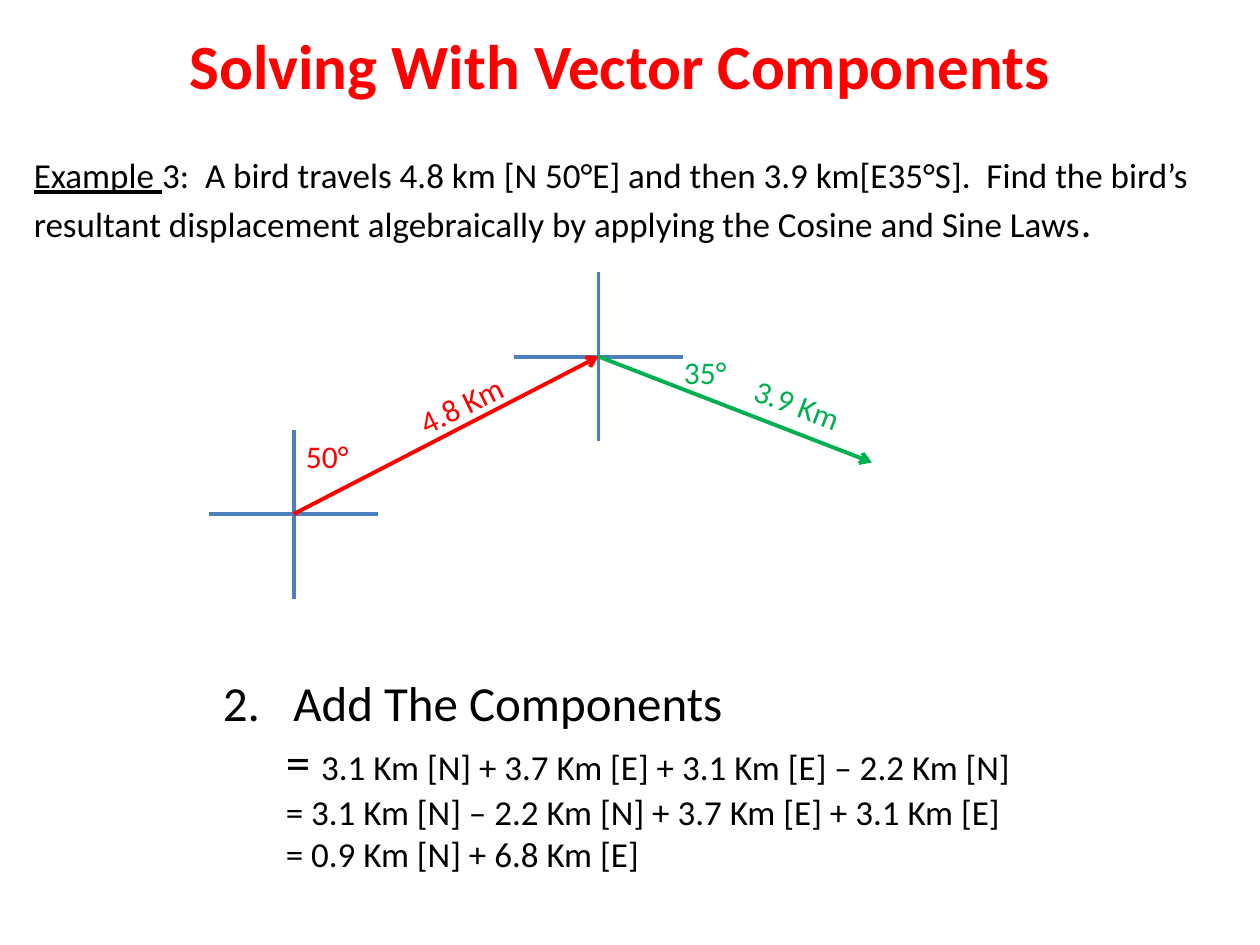
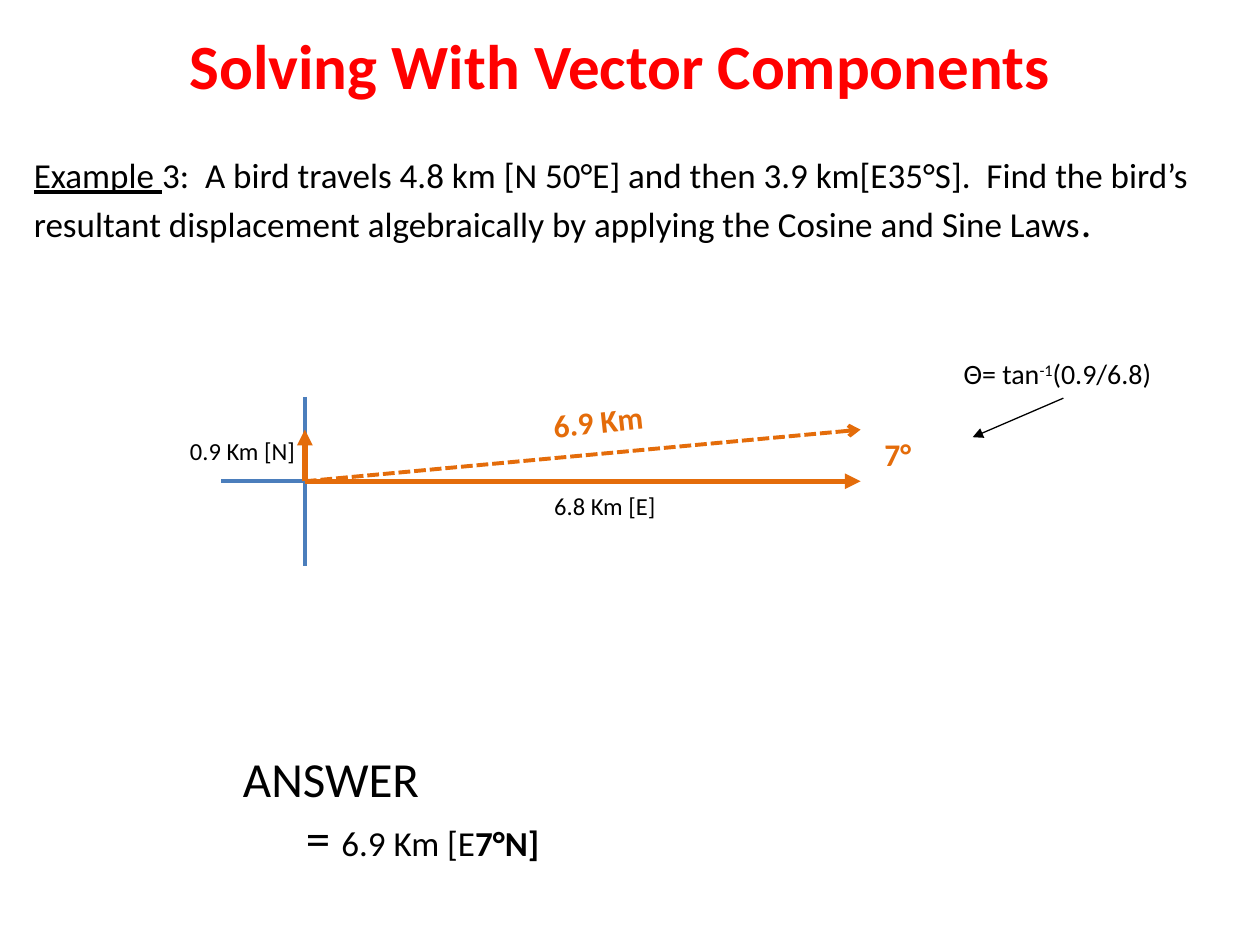
from pptx import Presentation
from pptx.dml.color import RGBColor
from pptx.enum.dml import MSO_LINE
from pptx.enum.shapes import MSO_CONNECTOR
from pptx.enum.text import MSO_ANCHOR, MSO_AUTO_SIZE, PP_ALIGN
from pptx.oxml.ns import qn
from pptx.util import Inches, Pt
from lxml.etree import SubElement

# Shared style
FONT = "Calibri"
BLACK, RED, GREEN = "000000", "FF0000", "00B050"
ORANGE, AXIS_BLUE = "E46C0A", "4B7EBC"
AXIS_REACH = 0.67
STEP_INDENT = 0.5


def add_text(slide, box, paragraphs, color=BLACK, rotation=0, wrap=False):
    """Each paragraph is a list of (text, size, style) runs."""
    shape = slide.shapes.add_textbox(*[Inches(length) for length in box])
    shape.rotation = rotation
    frame = shape.text_frame
    frame.word_wrap = wrap
    frame.auto_size = MSO_AUTO_SIZE.NONE if wrap else MSO_AUTO_SIZE.SHAPE_TO_FIT_TEXT
    for index, runs in enumerate(paragraphs):
        paragraph = frame.add_paragraph() if index else frame.paragraphs[0]
        for text, size, style in runs:
            run = paragraph.add_run()
            run.text = text
            run.font.name = FONT
            run.font.size = Pt(size)
            run.font.color.rgb = RGBColor.from_string(color)
            run.font.bold = style == "bold"
            run.font.underline = style == "underline"
            if style == "superscript":
                run._r.get_or_add_rPr().set("baseline", "30000")
    return frame


def add_line(slide, start, end, color, width=2.25, head=None, dash=None):
    line = slide.shapes.add_connector(
        MSO_CONNECTOR.STRAIGHT, *[Inches(length) for length in start + end])
    line.line.color.rgb = RGBColor.from_string(color)
    line.line.width = Pt(width)
    if dash:
        line.line.dash_style = dash
    if head:
        SubElement(line.line._get_or_add_ln(), qn("a:tailEnd"), type=head)
    SubElement(line._element.spPr, qn("a:effectLst"))


presentation = Presentation()
presentation.slide_width = Inches(10)
presentation.slide_height = Inches(7.5)

# Heading, problem and compass axes on both slides
bird_start, bird_turn, bird_end = (2.33, 4.08), (4.75, 2.83), (6.92, 3.67)
sum_origin, sum_east, sum_north, sum_end = (2.42, 3.82), (6.83, 3.82), (2.42, 3.41), (6.83, 3.41)
slides = []
for axis_centers in [(bird_start, bird_turn), (sum_origin,)]:
    slide = presentation.slides.add_slide(presentation.slide_layouts[6])
    slides.append(slide)
    heading = add_text(slide, (0.17, 0.01, 9.5, 1),
                       [[("Solving With Vector Components", 36, "bold")]], RED, wrap=True)
    heading.vertical_anchor = MSO_ANCHOR.MIDDLE
    heading.paragraphs[0].alignment = PP_ALIGN.CENTER
    add_text(slide, (0.17, 1.17, 9.83, 0.9), [[
        ("Example ", 20, "underline"),
        ("3:  A bird travels 4.8 km [N 50°E] and then 3.9 km[E35°S].  Find the bird’s "
         "resultant displacement algebraically by applying the Cosine and Sine Laws", 20, ""),
        (".", 24, "")]], wrap=True)
    for x, y in axis_centers:
        add_line(slide, (x, y - AXIS_REACH), (x, y + AXIS_REACH), AXIS_BLUE)
        add_line(slide, (x + AXIS_REACH, y), (x - AXIS_REACH, y), AXIS_BLUE)

components_slide, answer_slide = slides

# Two legs of the flight
add_line(components_slide, bird_start, bird_turn, RED, head="arrow")
add_line(components_slide, bird_turn, bird_end, GREEN, head="arrow")
for text, box, color, rotation in [
    ("50°", (2.33, 3.42, 0.56, 0.4), RED, 0),
    ("4.8 Km", (3.21, 3.01, 0.91, 0.4), RED, 334),
    ("35°", (5.33, 2.75, 0.56, 0.4), GREEN, 0),
    ("3.9 Km", (5.88, 3.01, 0.91, 0.4), GREEN, 20.9),
]:
    add_text(components_slide, box, [[(text, 18, "")]], color, rotation)

# Adding the components
addition = add_text(components_slide, (1.67, 5.29, 6.5, 1.72), [
    [("Add The Components", 28, "")],
    [("= ", 28, ""), ("3.1 Km [N] + 3.7 Km [E] + 3.1 Km [E] – 2.2 Km [N]", 20, "")],
    [("= 3.1 Km [N] – 2.2 Km [N] + 3.7 Km [E] + 3.1 Km [E]", 20, "")],
    [("= 0.9 Km [N] + 6.8 Km [E]", 20, "")],
])
numbered = addition.paragraphs[0]._p.get_or_add_pPr()
numbered.set("marL", str(Inches(0.56)))
numbered.set("indent", str(-Inches(0.56)))
SubElement(numbered, qn("a:buFont"), typeface=FONT)
SubElement(numbered, qn("a:buAutoNum"), type="arabicPeriod", startAt="2")

# Resultant and its components
add_line(answer_slide, sum_origin, sum_end, ORANGE, head="arrow", dash=MSO_LINE.SQUARE_DOT)
for component_end in (sum_east, sum_north):
    add_line(answer_slide, sum_origin, component_end, ORANGE, 3, "triangle")
add_text(answer_slide, (4.29, 3.14, 0.92, 0.4), [[("6.9 Km", 18, "bold")]], ORANGE, 353.8)
add_text(answer_slide, (6.92, 3.4, 0.71, 0.4), [[("7°", 18, "bold")]], ORANGE, wrap=True)
add_text(answer_slide, (4.3, 3.85, 1.01, 0.34), [[("6.8 Km [E]", 14, "")]])
add_text(answer_slide, (1.41, 3.41, 1.04, 0.34), [[("0.9 Km [N]", 14, "")]])

# Angle of the resultant
add_text(answer_slide, (7.55, 2.78, 1.78, 0.37), [[
    ("Θ= tan", 16, ""), ("-1", 16, "superscript"), ("(0.9/6.8)", 16, "")]])
add_line(answer_slide, (8.44, 3.16), (7.72, 3.47), BLACK, 0.75, "triangle")

# Answer
answer = add_text(answer_slide, (1.83, 5.89, 2.59, 1.38), [
    [("ANSWER", 28, "")],
    [("= ", 28, ""), ("6.9 Km [E", 20, ""), ("7°N]", 20, "bold")],
])

# Working steps sit one level in
for working in (addition, answer):
    for step in working.paragraphs[1:]:
        step.level = 1
        step._p.get_or_add_pPr().set("marL", str(Inches(STEP_INDENT)))
        step._p.get_or_add_pPr().set("indent", "0")

presentation.save("out.pptx")
